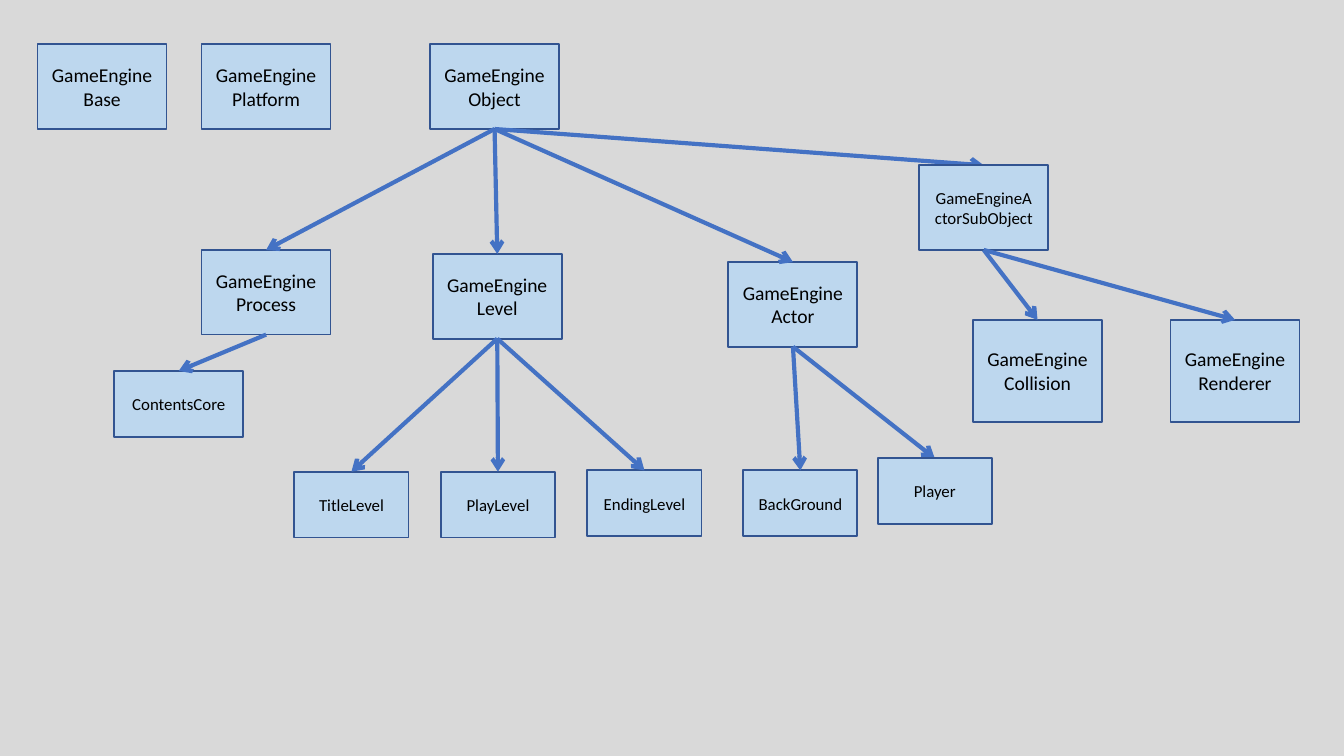
from lxml.etree import SubElement
from pptx import Presentation
from pptx.dml.color import RGBColor
from pptx.enum.shapes import MSO_CONNECTOR as Connector, MSO_SHAPE as Shape
from pptx.enum.text import MSO_ANCHOR as Anchor, PP_ALIGN as Align
from pptx.oxml.ns import qn
from pptx.util import Inches, Pt

BACKGROUND = RGBColor(0xD9, 0xD9, 0xD9)
BOX_FILL = RGBColor(0xBD, 0xD7, 0xEE)
BOX_EDGE = RGBColor(0x32, 0x54, 0x91)
ARROW = RGBColor(0x44, 0x72, 0xC4)
BLACK = RGBColor(0, 0, 0)
FONT = "Calibri"
SLIDE_WIDTH = 10
SLIDE_HEIGHT = SLIDE_WIDTH * 9 / 16
TOP_SITE, BOTTOM_SITE = 0, 2

# Box styles: width, height, text size
ENGINE = (0.96, 0.63, 10.5)
ENGINE_SMALL_TEXT = (0.96, 0.63, 9)
COMPONENT = (0.96, 0.76, 10.5)
CORE = (0.96, 0.49, 9)
CONTENT = (0.85, 0.49, 9)

# Rows of the diagram, and the even spacing of the levels
ROOT_ROW, COMPONENT_ROW, CONTENT_ROW = 0.33, 2.38, 3.5
LEVEL_LEFT, LEVEL_STEP = 2.19, 1.09

# Class name, parent class, style, left, top
CLASSES = [
    ("GameEngineBase", None, ENGINE, 0.28, ROOT_ROW),
    ("GameEnginePlatform", None, ENGINE, 1.5, ROOT_ROW),
    ("GameEngineObject", None, ENGINE, 3.2, ROOT_ROW),
    ("GameEngineProcess", "GameEngineObject", ENGINE, 1.5, 1.86),
    ("GameEngineLevel", "GameEngineObject", ENGINE, 3.22, 1.89),
    ("GameEngineActor", "GameEngineObject", ENGINE, 5.42, 1.95),
    ("GameEngineActorSubObject", "GameEngineObject", ENGINE_SMALL_TEXT, 6.84, 1.23),
    ("GameEngineCollision", "GameEngineActorSubObject", COMPONENT, 7.24, COMPONENT_ROW),
    ("GameEngineRenderer", "GameEngineActorSubObject", COMPONENT, 8.71, COMPONENT_ROW),
    ("ContentsCore", "GameEngineProcess", CORE, 0.85, 2.76),
    ("BackGround", "GameEngineActor", CONTENT, 5.53, CONTENT_ROW),
    ("Player", "GameEngineActor", CONTENT, 6.53, 3.41),
] + [
    (name, "GameEngineLevel", CONTENT, LEVEL_LEFT + i * LEVEL_STEP, top)
    for i, (name, top) in enumerate(
        [("TitleLevel", 3.51), ("PlayLevel", 3.51), ("EndingLevel", CONTENT_ROW)])
]
# Boxes that cover the tip of their arrow
IN_FRONT = {"GameEngineActorSubObject", "Player"}


def add_class(slide, name, style, left, top):
    """Draw one class box and return it."""
    width, height, size = style
    box = slide.shapes.add_shape(
        Shape.RECTANGLE, Inches(left), Inches(top), Inches(width), Inches(height))
    box.shadow.inherit = False
    box.fill.solid()
    box.fill.fore_color.rgb = BOX_FILL
    box.line.color.rgb = BOX_EDGE
    box.line.width = Pt(1)
    frame = box.text_frame
    frame.word_wrap = True
    frame.vertical_anchor = Anchor.MIDDLE
    frame.text = name
    label = frame.paragraphs[0]
    label.alignment = Align.CENTER
    font = label.runs[0].font
    font.name, font.size, font.color.rgb = FONT, Pt(size), BLACK
    return box


def add_inheritance(slide, child, parent):
    """Join a child to its parent, with the arrowhead at the child."""
    arrow = slide.shapes.add_connector(Connector.STRAIGHT, 0, 0, 0, 0)
    arrow.begin_connect(child, TOP_SITE)
    arrow.end_connect(parent, BOTTOM_SITE)
    arrow.line.color.rgb = ARROW
    arrow.line.width = Pt(2.25)
    properties = arrow._element.spPr
    SubElement(properties.find(qn("a:ln")), qn("a:headEnd"), type="arrow")
    SubElement(properties, qn("a:effectLst"))
    return arrow


def build():
    """Build the class diagram and save it."""
    deck = Presentation()
    deck.slide_width, deck.slide_height = Inches(SLIDE_WIDTH), Inches(SLIDE_HEIGHT)
    slide = deck.slides.add_slide(deck.slide_layouts[6])
    slide.background.fill.solid()
    slide.background.fill.fore_color.rgb = BACKGROUND
    boxes = {name: add_class(slide, name, style, left, top)
             for name, _, style, left, top in CLASSES}
    for name, parent, *_ in CLASSES:
        if parent:
            arrow = add_inheritance(slide, boxes[name], boxes[parent])
            if name in IN_FRONT:
                boxes[name]._element.addprevious(arrow._element)
    deck.save("out.pptx")


build()
